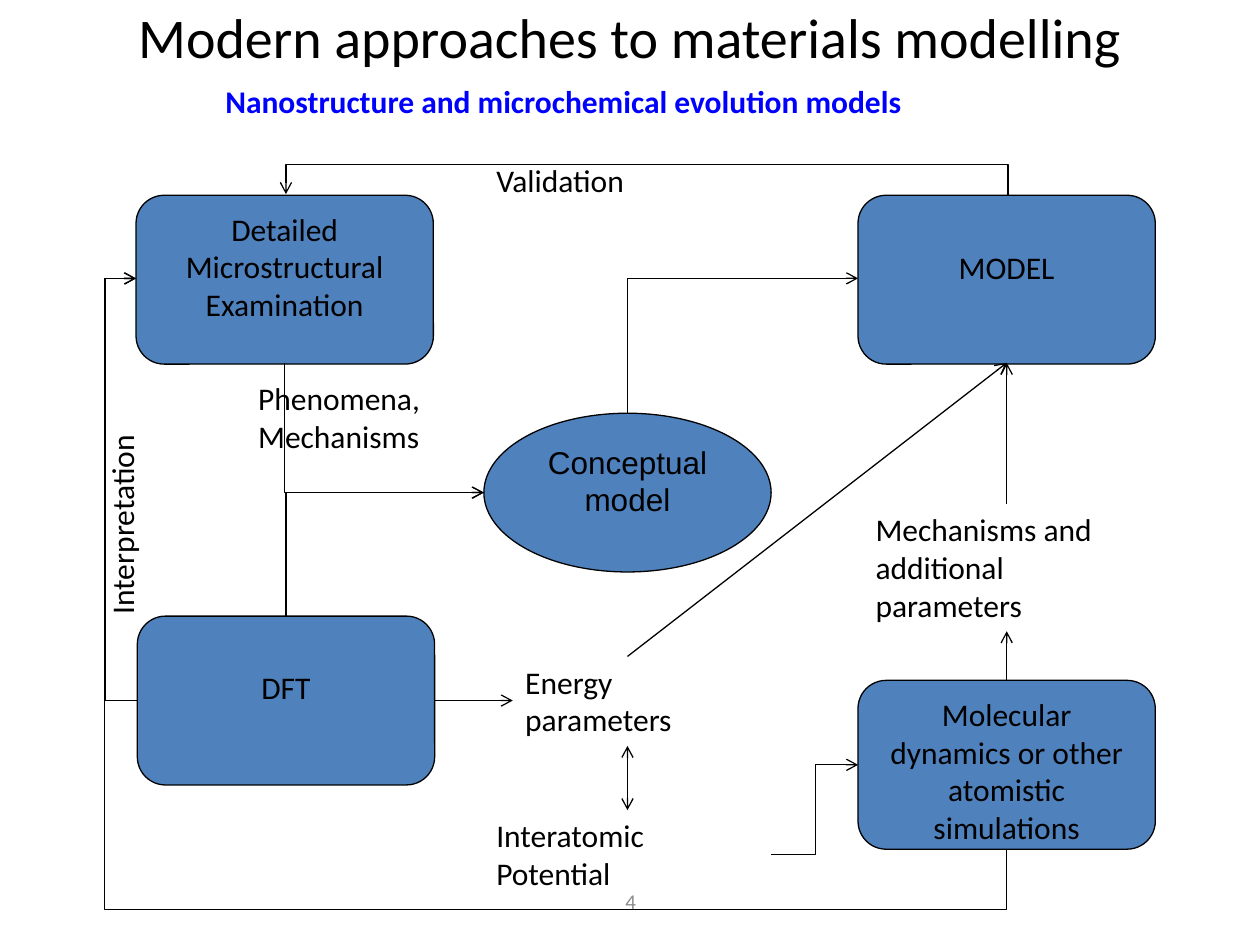
from lxml import etree
from pptx import Presentation
from pptx.dml.color import RGBColor
from pptx.enum.shapes import MSO_CONNECTOR, MSO_SHAPE
from pptx.enum.text import MSO_ANCHOR, MSO_AUTO_SIZE, PP_ALIGN
from pptx.oxml.ns import qn
from pptx.util import Inches, Pt

THEME = {
    "font": "Calibri", "alt_font": "Arial",
    "title": 32, "body": 18, "small": 12, "line": 0.75,
    "text": RGBColor(0, 0, 0), "fill": RGBColor(0x4F, 0x81, 0xBD),
    "accent": RGBColor(0, 0, 0xFF), "muted": RGBColor(0x8C, 0x8C, 0x8C),
}

TITLE = "Modern approaches to materials modelling"
SUBTITLE = "Nanostructure and microchemical evolution models"
PAGE_NUMBER = "4"

BOX_SIZE = (2.36, 1.34)
INSET, LINE_HEIGHT = 0.05, 0.3
# text, left, top, lines left free above the text
BOXES = [
    ("Detailed Microstructural Examination", 1.08, 1.55, 0),
    ("DFT", 1.09, 4.89, 1),
    ("MODEL", 6.81, 1.55, 1),
    ("Molecular dynamics or other atomistic simulations", 6.81, 5.4, 0),
]
ELLIPSE = ("Conceptual model", 3.84, 3.28, 2.28, 1.26)

# text, left, top, width, height, rotation
LABELS = [
    ("Interatomic Potential", 3.84, 6.43, 2.28, 0.71, 0),
    ("Energy parameters", 4.07, 5.21, 1.82, 0.71, 0),
    ("Mechanisms and additional parameters", 6.85, 4, 2.28, 1.01, 0),
    ("Validation", 3.84, 1.23, 2.49, 0.4, 0),
    ("Interpretation", -0.16, 3.65, 2.25, 0.4, 270),
    ("Phenomena, Mechanisms", 1.95, 2.96, 2.21, 0.71, 0),
]

# Corner points of each arrow, from start to end
ROUTES = {
    "DFT to energy": [(3.45, 5.56), (4.07, 5.56)],
    "DFT to concept": [(2.27, 4.89), (2.27, 3.91), (3.84, 3.91)],
    "examination to concept": [(2.26, 2.88), (2.26, 3.91), (3.84, 3.91)],
    "energy and potential": [(4.98, 6.43), (4.98, 5.92)],
    "potential to dynamics": [(6.12, 6.78), (6.47, 6.78), (6.47, 6.07), (6.81, 6.07)],
    "dynamics to mechanisms": [(7.99, 5.4), (7.99, 5.01)],
    "concept to model": [(4.98, 3.28), (4.98, 2.21), (6.81, 2.21)],
    "mechanisms to model": [(7.99, 4), (7.99, 2.88)],
    "energy to model": [(4.98, 5.21), (7.99, 2.88)],
    "validation": [(8, 1.55), (8, 1.3), (2.27, 1.3), (2.27, 1.54)],
    "interpretation": [(1.09, 5.56), (0.83, 5.56), (0.83, 2.21), (1.08, 2.21)],
    "dynamics to examination": [(7.99, 6.74), (7.99, 7.22), (0.83, 7.22),
                                (0.83, 2.21), (1.08, 2.21)],
}
TWO_WAY = {"energy and potential"}


def write(shape, text, size="body", color="text", font="font", bold=None,
          align=PP_ALIGN.LEFT, anchor=MSO_ANCHOR.TOP):
    tf = shape.text_frame
    tf.word_wrap = True
    tf.auto_size = MSO_AUTO_SIZE.NONE
    tf.vertical_anchor = anchor
    p = tf.paragraphs[0]
    p.text = text
    p.alignment = align
    p.font.size = Pt(THEME[size])
    p.font.name = THEME[font]
    p.font.color.rgb = THEME[color]
    p.font.bold = bold
    return tf


def add_label(s, text, left, top, width, height, rotation=0, **style):
    box = s.shapes.add_textbox(*map(Inches, (left, top, width, height)))
    box.rotation = rotation
    write(box, text, **style)


def add_node(s, kind, text, left, top, width, height, font="font", free_lines=0):
    node = s.shapes.add_shape(kind, *map(Inches, (left, top, width, height)))
    node.shadow.inherit = False
    node.fill.solid()
    node.fill.fore_color.rgb = THEME["fill"]
    node.line.color.rgb = THEME["text"]
    node.line.width = Pt(THEME["line"])
    tf = write(node, text, font=font, align=PP_ALIGN.CENTER)
    tf.margin_top = Inches(INSET + free_lines * LINE_HEIGHT)


def add_elbow(s, points):
    """Fit a bent connector to the corner points; a vertical start turns it by 90°."""
    start, end = points[0], points[-1]
    vertical = points[0][0] == points[1][0]
    along, across = (1, 0) if vertical else (0, 1)
    delta = [b - a for a, b in zip(start, end)]
    w, h = abs(delta[along]), abs(delta[across])
    left = (start[0] + end[0] - w) / 2
    top = (start[1] + end[1] - h) / 2
    cxn = s.shapes.add_connector(
        MSO_CONNECTOR.ELBOW, *map(Inches, (left, top, left + w, top + h)))

    xfrm = cxn.element.spPr.find(qn("a:xfrm"))
    flip_v = delta[across] > 0 if vertical else delta[across] < 0
    xfrm.set("rot", str(5400000 if vertical else 0))
    xfrm.set("flipH", str(int(delta[along] < 0)))
    xfrm.set("flipV", str(int(flip_v)))

    geom = cxn.element.spPr.find(qn("a:prstGeom"))
    geom.set("prst", f"bentConnector{len(points) - 1}")
    guides = geom.find(qn("a:avLst"))
    if guides is None:
        guides = etree.SubElement(geom, qn("a:avLst"))
    for i, corner in enumerate(points[1:-2], 1):
        axis = along if i % 2 else across
        value = round(100000 * (corner[axis] - start[axis]) / delta[axis])
        name = "adj1" if i == 1 else f"adj{i}"
        etree.SubElement(guides, qn("a:gd"), name=name, fmla=f"val {value}")
    return cxn


def add_arrow(s, points, two_way=False):
    if len(points) == 2:
        ends = [Inches(v) for point in points for v in point]
        cxn = s.shapes.add_connector(MSO_CONNECTOR.STRAIGHT, *ends)
    else:
        cxn = add_elbow(s, points)
    cxn.line.color.rgb = THEME["text"]
    cxn.line.width = Pt(THEME["line"])
    ln = cxn.line._get_or_add_ln()
    for tag in ("a:headEnd", "a:tailEnd") if two_way else ("a:tailEnd",):
        etree.SubElement(ln, qn(tag), type="arrow")
    etree.SubElement(cxn.element.spPr, qn("a:effectLst"))


def main():
    prs = Presentation()
    prs.slide_width, prs.slide_height = Inches(10), Inches(7.5)
    s = prs.slides.add_slide(prs.slide_layouts[5])

    title = s.shapes.title
    title.left, title.top, title.width, title.height = map(Inches, (0.5, -0.34, 9, 1.25))
    write(title, TITLE, size="title", align=PP_ALIGN.CENTER, anchor=MSO_ANCHOR.MIDDLE)
    add_label(s, SUBTITLE, 1.69, 0.6, 6.46, 0.4, color="accent", bold=True)
    add_label(s, PAGE_NUMBER, 3.42, 6.95, 3.17, 0.4, size="small", color="muted",
              align=PP_ALIGN.CENTER, anchor=MSO_ANCHOR.MIDDLE)

    for text, left, top, free_lines in BOXES:
        add_node(s, MSO_SHAPE.ROUNDED_RECTANGLE, text, left, top, *BOX_SIZE,
                 free_lines=free_lines)
    add_node(s, MSO_SHAPE.OVAL, *ELLIPSE, font="alt_font")
    for name, points in ROUTES.items():
        add_arrow(s, points, name in TWO_WAY)
    for label in LABELS:
        add_label(s, *label)

    prs.save("out.pptx")


if __name__ == "__main__":
    main()
